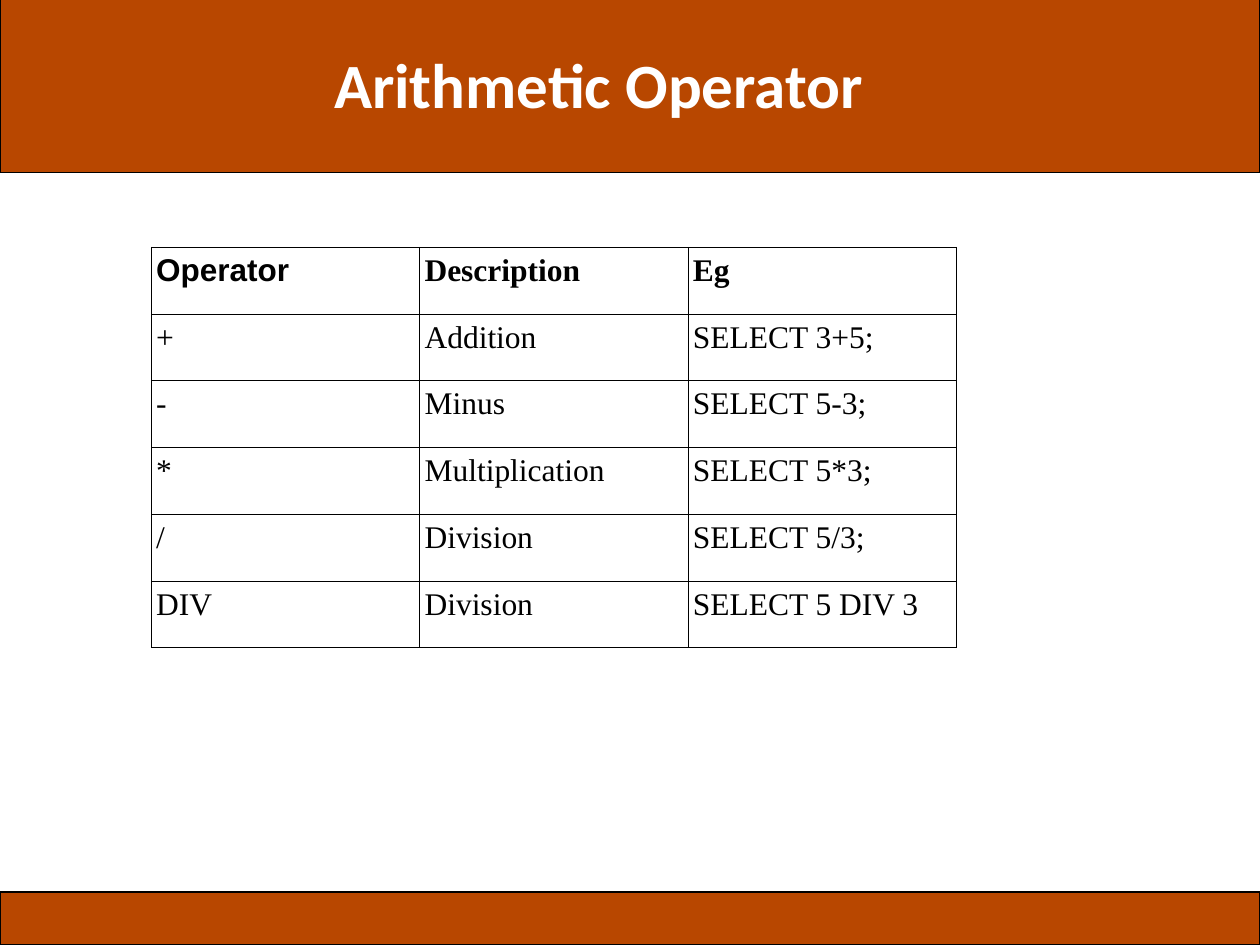
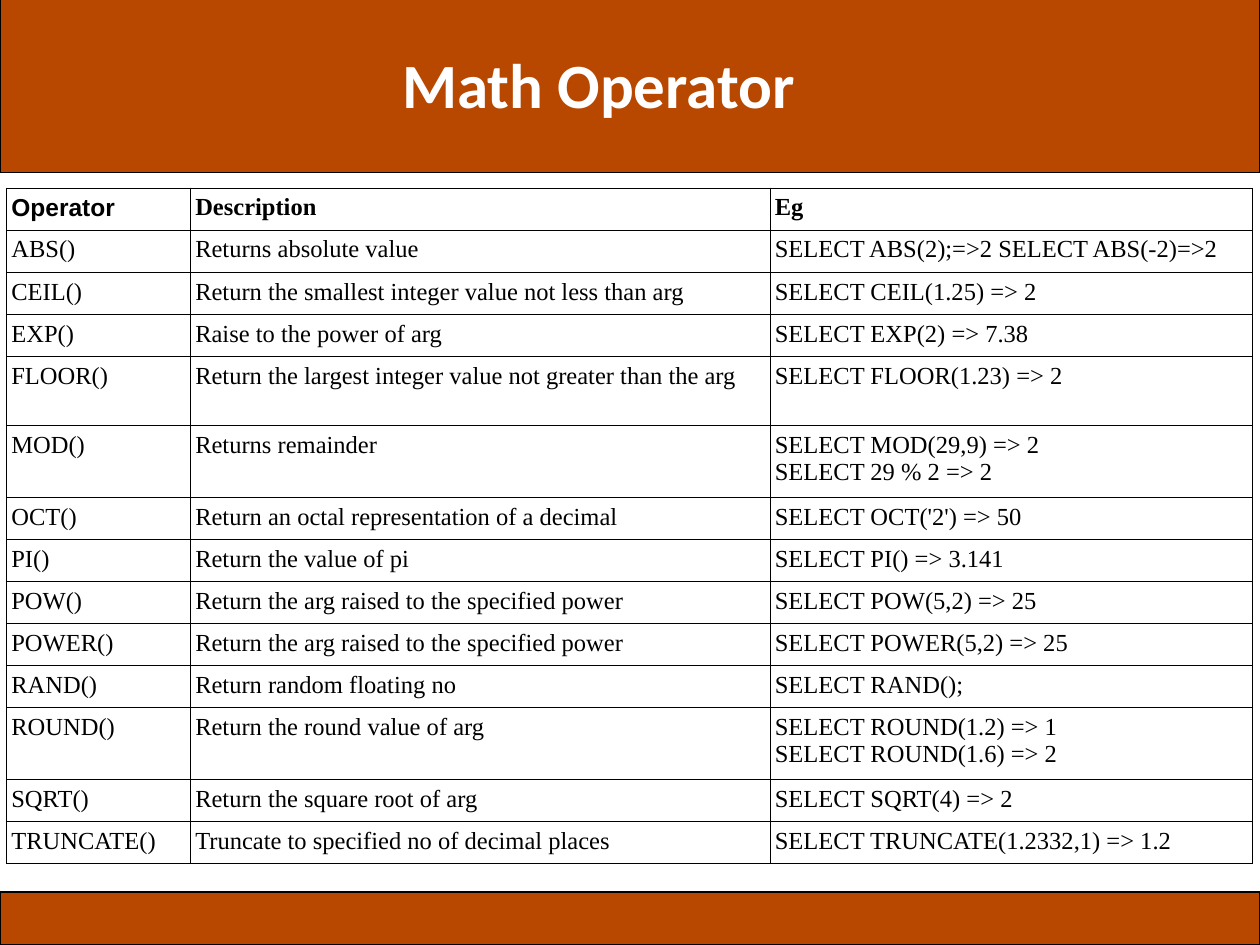
import pptx
import pptx.dml.color
import pptx.enum.shapes
import pptx.enum.text
import pptx.oxml
import pptx.oxml.ns
import pptx.util

Inches = pptx.util.Inches
Pt = pptx.util.Pt

BAND, BLACK, WHITE = "B84700", "000000", "FFFFFF"
TITLE_FONT, LABEL_FONT, BODY_FONT = "Calibri", "Arial", "Times New Roman"
BORDER_WIDTH = Pt(0.06)
ROW, GAP_ROW, DOUBLE_ROW = 0.33, 0.55, 0.57

HEADER = ("Operator", "Description", "Eg")
ARITHMETIC = [
    HEADER,
    ("+", "Addition", "SELECT 3+5;"),
    ("-", "Minus", "SELECT 5-3;"),
    ("*", "Multiplication", "SELECT 5*3;"),
    ("/", "Division", "SELECT 5/3;"),
    ("DIV", "Division", "SELECT 5 DIV 3"),
]
MATH = [
    HEADER,
    ("ABS()", "Returns absolute value", "SELECT ABS(2);=>2 SELECT ABS(-2)=>2"),
    ("CEIL()", "Return the smallest integer value not less than arg",
     "SELECT CEIL(1.25) => 2"),
    ("EXP()", "Raise to the power of arg", "SELECT EXP(2) => 7.38"),
    ("FLOOR()", "Return the largest integer value not greater than the arg",
     "SELECT FLOOR(1.23) => 2"),
    ("MOD()", "Returns remainder", "SELECT MOD(29,9) => 2\nSELECT 29 % 2 => 2"),
    ("OCT()", "Return an octal representation of a decimal",
     "SELECT OCT('2') => 50"),
    ("PI()", "Return the value of pi", "SELECT PI() => 3.141"),
    ("POW()", "Return the arg raised to the specified power",
     "SELECT POW(5,2) => 25"),
    ("POWER()", "Return the arg raised to the specified power",
     "SELECT POWER(5,2) => 25"),
    ("RAND()", "Return random floating no", "SELECT RAND();"),
    ("ROUND()", "Return the round value of arg",
     "SELECT ROUND(1.2) => 1\nSELECT ROUND(1.6) => 2"),
    ("SQRT()", "Return the square root of arg", "SELECT SQRT(4) => 2"),
    ("TRUNCATE()", "Truncate to specified no of decimal places",
     "SELECT TRUNCATE(1.2332,1) => 1.2"),
]


def rgb(color):
    """Turn a hex string into a colour."""
    return pptx.dml.color.RGBColor.from_string(color)


def set_font(font, name, size, color, bold):
    """Set the look of a font."""
    font.name, font.size, font.bold = name, Pt(size), bold
    font.color.rgb = rgb(color)


def add_layout_band(s, top, height):
    """Draw a full-width band and move it to the slide's layout."""
    band = s.shapes.add_shape(pptx.enum.shapes.MSO_SHAPE.RECTANGLE,
                              0, Inches(top), Inches(10), Inches(height))
    band.shadow.inherit = False
    band.fill.solid()
    band.fill.fore_color.rgb = rgb(BAND)
    band.line.color.rgb = rgb(BLACK)
    band.line.width = Pt(1)
    s.slide_layout.shapes.element.insert(2, band.element)


def add_titled_slide(prs, title):
    """Add a title-only slide with a white title on the top band."""
    s = prs.slides.add_slide(prs.slide_layouts[5])
    sp = s.shapes.title
    sp.left, sp.top = Inches(1.5), Inches(0.4)
    sp.width, sp.height = Inches(6.5), Inches(0.58)
    tf = sp.text_frame
    tf.text = title
    tf.margin_left = tf.margin_right = tf.margin_top = tf.margin_bottom = 0
    tf.vertical_anchor = pptx.enum.text.MSO_ANCHOR.MIDDLE
    tf.auto_size = pptx.enum.text.MSO_AUTO_SIZE.SHAPE_TO_FIT_TEXT
    p = tf.paragraphs[0]
    p.alignment = pptx.enum.text.PP_ALIGN.CENTER
    p.line_spacing = 0.93
    set_font(p.font, TITLE_FONT, 36, WHITE, True)
    return s


def add_borders(cell):
    """Give a cell a thin black line on each side, ahead of its fill."""
    tc_pr = cell._tc.get_or_add_tcPr()
    for i, side in enumerate(("lnL", "lnR", "lnT", "lnB")):
        tc_pr.insert(i, pptx.oxml.parse_xml(
            f'<a:{side} {pptx.oxml.ns.nsdecls("a")} w="{BORDER_WIDTH}">'
            f'<a:solidFill><a:srgbClr val="{BLACK}"/></a:solidFill></a:{side}>'))


def fill_cell(cell, text, font_name, size, bold):
    """Write a cell's text, one paragraph a line, on white."""
    cell.text = text
    cell.margin_left = cell.margin_right = Inches(0.04)
    cell.margin_top = cell.margin_bottom = Inches(0.05)
    for p in cell.text_frame.paragraphs:
        set_font(p.font, font_name, size, BLACK, bold)
    cell.fill.solid()
    cell.fill.fore_color.rgb = rgb(WHITE)
    add_borders(cell)


def add_operator_table(s, left, top, widths, heights, rows, size):
    """Add a ruled table whose first row is a bold header."""
    table = s.shapes.add_table(
        len(rows), len(widths), Inches(left), Inches(top),
        Inches(sum(widths)), Inches(sum(heights))).table
    table.first_row = table.horz_banding = False
    for column, width in zip(table.columns, widths):
        column.width = Inches(width)
    for r, (row, height) in enumerate(zip(rows, heights)):
        table.rows[r].height = Inches(height)
        for c, text in enumerate(row):
            name = LABEL_FONT if r == c == 0 else BODY_FONT
            fill_cell(table.cell(r, c), text, name, size, r == 0)


def math_row_height(row):
    """Give more room to two-line rows and to the long FLOOR row."""
    if "\n" in row[2]:
        return DOUBLE_ROW
    return GAP_ROW if row[0] == "FLOOR()" else ROW


def main():
    """Build both operator slides."""
    prs = pptx.Presentation()
    prs.slide_width, prs.slide_height = Inches(10), Inches(7.5)

    s = add_titled_slide(prs, "Arithmetic Operator")
    add_layout_band(s, -0.2, 1.57)
    add_layout_band(s, 7.08, 0.42)
    add_operator_table(s, 1.2, 1.96, [2.13] * 3, [0.53] * len(ARITHMETIC),
                       ARITHMETIC, 18)

    s = add_titled_slide(prs, "Math Operator")
    add_operator_table(s, 0.05, 1.49, [1.46, 4.6, 3.83],
                       [math_row_height(row) for row in MATH], MATH, 14)

    prs.save("out.pptx")


main()
